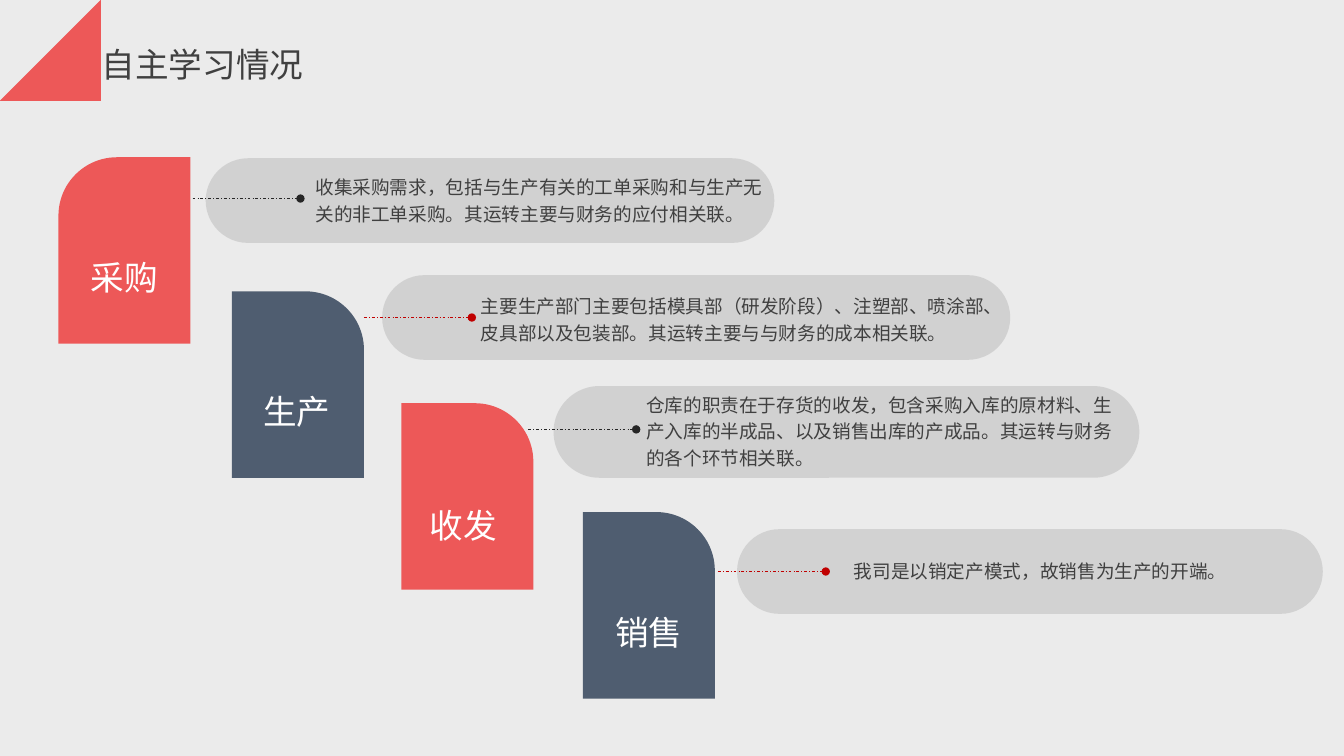
from collections import namedtuple

from lxml.etree import SubElement
from pptx import Presentation
from pptx.dml.color import RGBColor
from pptx.enum.dml import MSO_LINE_DASH_STYLE as DASH
from pptx.enum.shapes import MSO_CONNECTOR, MSO_SHAPE as SHAPE
from pptx.enum.text import MSO_AUTO_SIZE as AUTO_SIZE, PP_ALIGN as ALIGN
from pptx.oxml.ns import qn
from pptx.util import Inches, Pt

FONT = "Noto Sans CJK SC"
RED, SLATE, DARK, WHITE = "ED5858", "4F5D70", "404040", "FFFFFF"
BLACK_DOT, RED_DOT = "262626", "C00000"
CLEAR_GREY, SOLID_GREY = ("808080", 24), ("D2D2D2", None)
CARD_WIDTH, CARD_HEIGHT, CARD_RADIUS = 1.31, 1.85, 0.58
LINK_LENGTH = 1.07

TITLE_FORMAT = {"size": 24, "color": DARK}
LABEL_FORMAT = {"size": 24, "color": WHITE, "align": ALIGN.CENTER}
NOTE_FORMAT = {"size": 13.3, "color": DARK, "spacing": 1.2}

Stage = namedtuple("Stage", "name color card flip label link dot pill grey note_box note")
STAGES = [
    Stage("采购", RED, (0.58, 1.56), True, (0.58, 2.5), (1.91, 1.97), BLACK_DOT,
          (2.04, 1.57, 5.64, 0.84), CLEAR_GREY, (3.03, 1.65, 4.65, 0.64),
          "收集采购需求，包括与生产有关的工单采购和与生产无关的非工单采购。其运转主要与财务的应付相关联。"),
    Stage("生产", SLATE, (2.3, 2.89), False, (2.29, 3.83), (3.61, 3.15), RED_DOT,
          (3.79, 2.73, 6.23, 0.84), CLEAR_GREY, (4.67, 2.83, 5.35, 0.64),
          "主要生产部门主要包括模具部（研发阶段）、注塑部、喷涂部、皮具部以及包装部。其运转主要与与财务的成本相关联。"),
    Stage("收发", RED, (3.98, 4), False, (3.94, 4.96), (5.24, 4.26), BLACK_DOT,
          (5.49, 3.83, 5.81, 0.91), CLEAR_GREY, (6.31, 3.81, 4.85, 0.91),
          "仓库的职责在于存货的收发，包含采购入库的原材料、生产入库的半成品、以及销售出库的产成品。其运转与财务的各个环节相关联。"),
    Stage("销售", SLATE, (5.78, 5.08), False, (5.78, 6.02), (7.12, 5.67), RED_DOT,
          (7.31, 5.25, 5.81, 0.84), SOLID_GREY, (8.37, 5.46, 4.12, 0.37),
          "我司是以销定产模式，故销售为生产的开端。"),
]

EMBLEM = [
    [(0.82, 0.54), (0.83, 0.54), (0.91, 0.62), (0.83, 0.71), (0.82, 0.71), (0.9, 0.62)],
    [(0.44, 0.54), (0.46, 0.54), (0.38, 0.62), (0.46, 0.71), (0.44, 0.71), (0.36, 0.62)],
    [(0.64, 0.38), (0.87, 0.62), (0.64, 0.87), (0.4, 0.62)],
]


def rgb(color):
    return RGBColor.from_string(color)


def paint(shape, color, opacity=None):
    """Fill a shape without line or shadow; opacity is in percent."""
    shape.shadow.inherit = False
    shape.line.fill.background()
    shape.fill.solid()
    shape.fill.fore_color.rgb = rgb(color)
    if opacity is not None:
        color_element = shape.fill._xPr.find(qn("a:solidFill"))[0]
        SubElement(color_element, qn("a:alpha")).set("val", str(opacity * 1000))


def add_preset(slide, kind, at, radius, fill):
    """Add a rounded preset whose corner radius is given in inches."""
    shape = slide.shapes.add_shape(kind, *map(Inches, at))
    shape.adjustments[0] = radius / min(at[2:])
    paint(shape, *fill)
    return shape


def add_text(slide, at, text, style, wrap=True):
    box = slide.shapes.add_textbox(*map(Inches, at))
    frame = box.text_frame
    frame.word_wrap = wrap
    frame.auto_size = AUTO_SIZE.SHAPE_TO_FIT_TEXT
    para = frame.paragraphs[0]
    para.alignment = style.get("align")
    para.line_spacing = style.get("spacing")
    span = para.add_run()
    span.text = text
    font_values = {"size": Pt(style["size"]), "name": FONT}
    for name, value in font_values.items():
        setattr(span.font, name, value)
    span.font.color.rgb = rgb(style["color"])
    SubElement(span._r.get_or_add_rPr(), qn("a:ea")).set("typeface", FONT)


def add_link(slide, start, color):
    """Add a dashed line to the right that ends in a dot."""
    left, top = start
    link = slide.shapes.add_connector(
        MSO_CONNECTOR.STRAIGHT,
        Inches(left), Inches(top), Inches(left + LINK_LENGTH), Inches(top))
    link.line.color.rgb = rgb(color)
    line_values = {"width": Pt(0.5), "dash_style": DASH.DASH_DOT}
    for name, value in line_values.items():
        setattr(link.line, name, value)
    SubElement(link.line._get_or_add_ln(), qn("a:tailEnd")).set("type", "oval")
    SubElement(link._element.spPr, qn("a:effectLst"))


def add_emblem(slide):
    first, *others = EMBLEM
    builder = slide.shapes.build_freeform(*first[0], scale=Inches(1))
    builder.add_line_segments(first[1:], close=True)
    for outline in others:
        builder.move_to(*outline[0])
        builder.add_line_segments(outline[1:], close=True)
    paint(builder.convert_to_shape(), RED)


def add_stage(slide, stage):
    add_preset(slide, SHAPE.ROUNDED_RECTANGLE, stage.pill, stage.pill[3] / 2, stage.grey)
    card = add_preset(slide, SHAPE.ROUND_1_RECTANGLE,
                      (*stage.card, CARD_WIDTH, CARD_HEIGHT), CARD_RADIUS, (stage.color,))
    if stage.flip:
        card._element.spPr.get_or_add_xfrm().set("flipH", "1")
    add_text(slide, (*stage.label, CARD_WIDTH, 0.5), stage.name, LABEL_FORMAT)
    add_link(slide, stage.link, stage.dot)
    add_text(slide, stage.note_box, stage.note, NOTE_FORMAT)


def main():
    deck = Presentation()
    deck.slide_width, deck.slide_height = Inches(13.33), Inches(7.5)
    slide = deck.slides.add_slide(deck.slide_layouts[6])
    slide.background.fill.solid()
    slide.background.fill.fore_color.rgb = rgb("EBEBEB")
    add_emblem(slide)
    add_text(slide, (0.91, 0.39, 2.2, 0.5), "自主学习情况", TITLE_FORMAT, wrap=False)
    for stage in STAGES:
        add_stage(slide, stage)
    deck.save("out.pptx")


if __name__ == "__main__":
    main()
